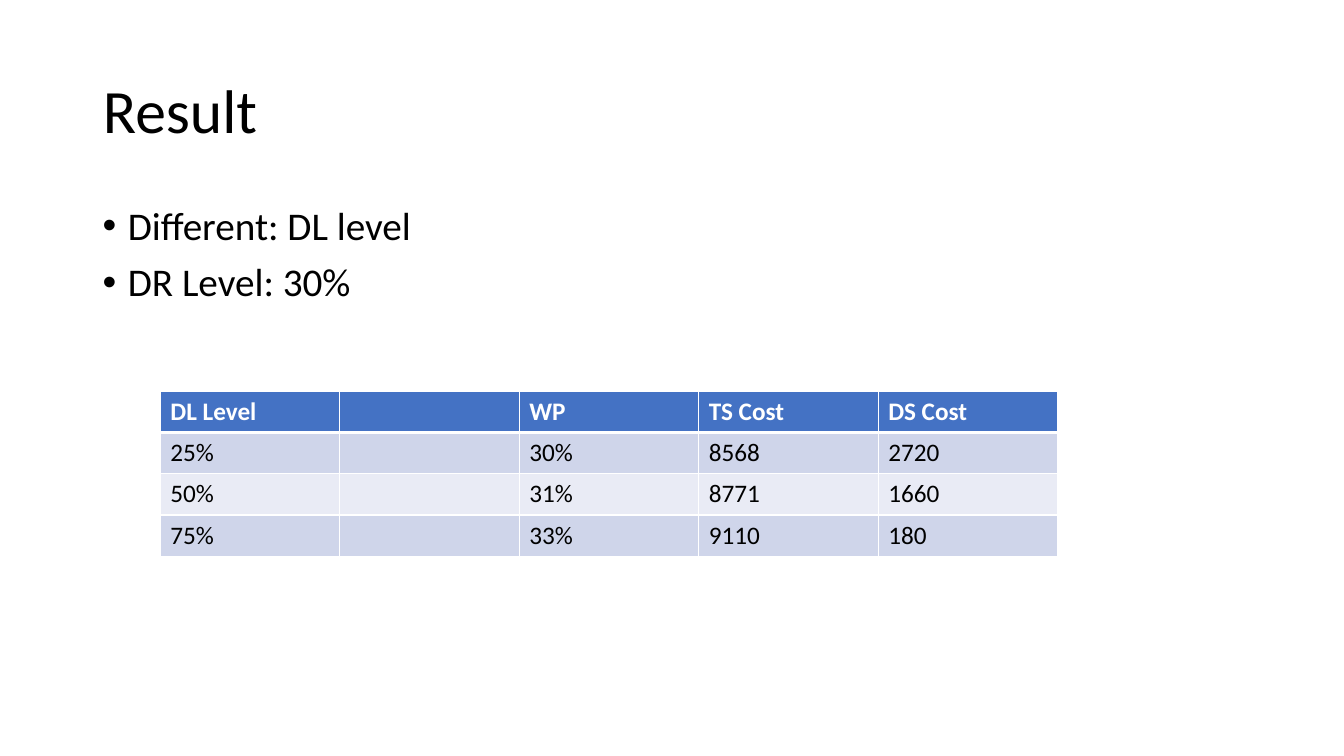
from lxml.etree import SubElement
from pptx import Presentation
from pptx.dml.color import RGBColor
from pptx.enum.text import MSO_ANCHOR as Anchor, MSO_AUTO_SIZE as AutoSize, PP_ALIGN as Align
from pptx.oxml.ns import qn
from pptx.util import Inches, Pt

BLACK = RGBColor(0x00, 0x00, 0x00)
WHITE = RGBColor(0xFF, 0xFF, 0xFF)
HEADER_BLUE = RGBColor(0x44, 0x72, 0xC4)
BANDS = RGBColor(0xCF, 0xD5, 0xEA), RGBColor(0xE9, 0xEB, 0xF5)
FONT = "Calibri"
MARGIN, CONTENT_WIDTH = Inches(0.92), Inches(11.5)
COLUMN, ROW = Inches(1.78), Inches(0.41)

FINDINGS = ["Different: DL level", "DR Level: 30%"]
COSTS = [
    ["DL Level", "", "WP", "TS Cost", "DS Cost"],
    ["25%", "", "30%", "8568", "2720"],
    ["50%", "", "31%", "8771", "1660"],
    ["75%", "", "33%", "9110", "180"],
]


def style_text(paragraph, size, color, bold=False):
    """Format every run of a paragraph."""
    for run in paragraph.runs:
        run.font.name = FONT
        run.font.size = Pt(size)
        run.font.bold = bold
        run.font.color.rgb = color


def set_title(slide, wording):
    """Fill and place the title placeholder."""
    title = slide.shapes.title
    title.left, title.top = MARGIN, Inches(0.4)
    title.width, title.height = CONTENT_WIDTH, Inches(1.45)
    frame = title.text_frame
    frame.text = wording
    frame.auto_size = AutoSize.NONE
    frame.vertical_anchor = Anchor.MIDDLE
    heading = frame.paragraphs[0]
    heading.alignment = Align.LEFT
    heading.line_spacing = 0.9
    style_text(heading, 44, BLACK)


def add_bullets(slide, items):
    """Add the bulleted list below the title."""
    body = slide.shapes.add_textbox(MARGIN, Inches(2), CONTENT_WIDTH, Inches(4.76))
    frame = body.text_frame
    frame.word_wrap = True
    frame.text = "\n".join(items)
    for item in frame.paragraphs:
        item.line_spacing = 0.9
        item.space_before = Pt(10)
        style_text(item, 28, BLACK)
        properties = item._p.get_or_add_pPr()
        properties.set("marL", str(Inches(0.25)))
        properties.set("indent", str(-Inches(0.25)))
        SubElement(properties, qn("a:buFont"), typeface="Arial")
        SubElement(properties, qn("a:buChar"), char="•")


def set_borders(cell, top, bottom):
    """Draw white borders around a cell, with top and bottom widths in points."""
    properties = cell._tc.get_or_add_tcPr()
    for side, width in (("L", 1), ("R", 1), ("T", top), ("B", bottom)):
        line = SubElement(properties, qn(f"a:ln{side}"), w=str(Pt(width)))
        fill = SubElement(line, qn("a:solidFill"))
        SubElement(fill, qn("a:srgbClr"), val=str(WHITE))


def add_cost_table(slide, rows):
    """Add the banded table with a blue header row."""
    count, columns = len(rows), len(rows[0])
    table = slide.shapes.add_table(count, columns, Inches(1.59), Inches(3.88),
                                   COLUMN * columns, ROW * count).table
    for r, values in enumerate(rows):
        table.rows[r].height = ROW
        is_header = r == 0
        for c, value in enumerate(values):
            cell = table.cell(r, c)
            cell.text = value
            style_text(cell.text_frame.paragraphs[0], 18,
                       WHITE if is_header else BLACK, is_header)
            set_borders(cell, 3 if r == 1 else 1, 3 if is_header else 1)
            cell.fill.solid()
            cell.fill.fore_color.rgb = HEADER_BLUE if is_header else BANDS[(r - 1) % 2]


def main():
    """Build the result slide and save it."""
    deck = Presentation()
    deck.slide_width, deck.slide_height = Inches(13.33), Inches(7.5)
    slide = deck.slides.add_slide(deck.slide_layouts[5])
    set_title(slide, "Result")
    add_bullets(slide, FINDINGS)
    add_cost_table(slide, COSTS)
    deck.save("out.pptx")


if __name__ == "__main__":
    main()
